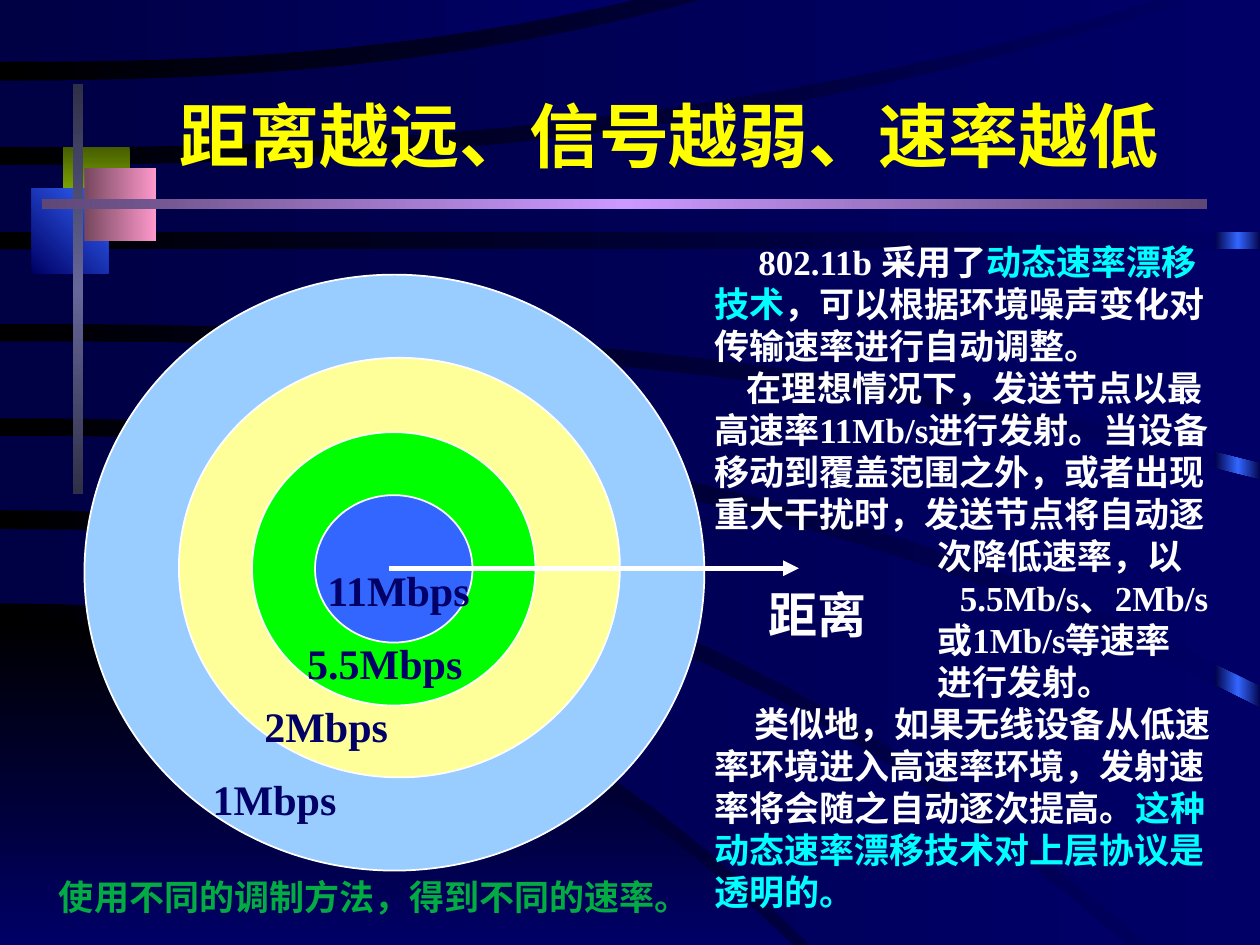
from copy import deepcopy

from lxml.etree import SubElement
from pptx import Presentation
from pptx.dml.color import RGBColor
from pptx.enum.shapes import MSO_CONNECTOR, MSO_SHAPE
from pptx.enum.text import MSO_ANCHOR, PP_ALIGN
from pptx.oxml.ns import qn
from pptx.util import Inches, Pt

BLACK = RGBColor(0x00, 0x00, 0x00)
NIGHT = RGBColor(0x00, 0x00, 0x44)
NAVY = RGBColor(0x00, 0x00, 0x66)
BLUE = RGBColor(0x33, 0x66, 0xFF)
SKY = RGBColor(0x99, 0xCC, 0xFF)
CREAM = RGBColor(0xFF, 0xFF, 0x99)
LIME = RGBColor(0x00, 0xFF, 0x00)
YELLOW = RGBColor(0xFF, 0xFF, 0x00)
CYAN = RGBColor(0x00, 0xFF, 0xFF)
GREEN = RGBColor(0x03, 0xAB, 0x43)
WHITE = RGBColor(0xFF, 0xFF, 0xFF)
DARK_OLIVE = RGBColor(0x47, 0x5E, 0x00)
OLIVE = RGBColor(0x99, 0xCC, 0x00)
DARK_PINK = RGBColor(0x76, 0x47, 0x5E)
PINK = RGBColor(0xFF, 0x99, 0xCC)
DARK_SLATE = RGBColor(0x2F, 0x2F, 0x47)
SLATE = RGBColor(0x66, 0x66, 0x99)
DARK_VIOLET = RGBColor(0x5E, 0x47, 0x76)
VIOLET = RGBColor(0xCC, 0x99, 0xFF)

CURVE_POWER = 2.4
CURVE_STEPS = 16

# Background waves, back to front: upper edge, lower edge, corners between them.
# An edge is its height at the left side, then the x and y where it ends.
WAVES = [
    ((4.2, 8.94, 7.5), (4.79, 6.43, 7.5), []),
    ((3.46, 10, 5.62), (4.05, 9.1, 7.5), [(10, 7.5)]),
    ((2.71, 10, 3.81), (3.32, 10, 5.44), []),
    ((1.98, 10, 1.98), (2.57, 10, 3.67), []),
    ((1.31, 9.44, 0), (1.84, 10, 1.84), [(10, 0)]),
    ((0.64, 5.57, 0), (1.17, 9.18, 0), []),
    ((0, 5.02, 0), (0.49, 5.02, 0), []),
]

# Title decoration: left, top, width, height, gradient, direction
DECORATION = [
    (0.5, 1.17, 0.53, 0.52, (DARK_OLIVE, OLIVE), 90),
    (0.25, 1.5, 0.61, 0.67, (NAVY, BLUE), 315),
    (0.67, 1.33, 0.57, 0.58, (DARK_PINK, PINK), 0),
    (0.58, 0.67, 0.08, 3.25, (DARK_SLATE, SLATE, DARK_SLATE), 90),
    (0.33, 1.58, 9.25, 0.08, (DARK_VIOLET, VIOLET, DARK_VIOLET), 0),
]

# Coverage rings: left, top, width, height, colour
RINGS = [
    (0.67, 2.18, 4.92, 4.73, SKY),
    (1.42, 2.84, 3.5, 3.33, CREAM),
    (2, 3.43, 2.25, 2.17, LIME),
    (2.5, 3.93, 1.25, 1.17, BLUE),
]
RATES = [
    ("11Mbps", 2.5, 4.43),
    ("5.5Mbps", 2.34, 5.01),
    ("2Mbps", 2, 5.51),
    ("1Mbps", 1.59, 6.09),
]

# Explanation: indent and coloured parts of each line
BESIDE_ARROW = 1.77
EXPLANATION = [
    (0.35, [("802.11b 采用了", WHITE), ("动态速率漂移", CYAN)]),
    (0, [("技术", CYAN), ("，可以根据环境噪声变化对", WHITE)]),
    (0, [("传输速率进行自动调整。", WHITE)]),
    (0.26, [("在理想情况下，发送节点以最", WHITE)]),
    (0, [("高速率11Mb/s进行发射。当设备", WHITE)]),
    (0, [("移动到覆盖范围之外，或者出现", WHITE)]),
    (0, [("重大干扰时，发送节点将自动逐", WHITE)]),
    (BESIDE_ARROW, [("次降低速率，以", WHITE)]),
    (1.95, [("5.5Mb/s、2Mb/s", WHITE)]),
    (BESIDE_ARROW, [("或1Mb/s等速率", WHITE)]),
    (BESIDE_ARROW, [("进行发射。", WHITE)]),
    (0.32, [("类似地，如果无线设备从低速", WHITE)]),
    (0, [("率环境进入高速率环境，发射速", WHITE)]),
    (0, [("率将会随之自动逐次提高。", WHITE), ("这种", CYAN)]),
    (0, [("动态速率漂移技术对上层协议是", CYAN)]),
    (0, [("透明的。", CYAN)]),
]


def curve(start_y, end_x, end_y):
    """Points of an edge that leaves the left side level and bends to its end."""
    steps = [i / CURVE_STEPS for i in range(CURVE_STEPS + 1)]
    return [(end_x * t, start_y + (end_y - start_y) * t ** CURVE_POWER) for t in steps]


class SlidePainter:
    font = "Times New Roman"

    def __init__(self, slide):
        self.slide = slide
        self.shapes = slide.shapes

    def gradient(self, fill, element, colors, angle):
        fill.gradient()
        fill.gradient_angle = (360 - angle) % 360
        stops = element.find(".//" + qn("a:gsLst"))
        for _ in colors[2:]:
            stops.append(deepcopy(stops[-1]))
        for i, (stop, color) in enumerate(zip(fill.gradient_stops, colors)):
            stop.position = i / (len(colors) - 1)
            stop.color.rgb = color

    def background(self, colors, angle):
        self.gradient(self.slide.background.fill, self.slide.element, colors, angle)

    def plain_gradient(self, shape, colors, angle):
        shape.shadow.inherit = False
        shape.line.fill.background()
        self.gradient(shape.fill, shape.element, colors, angle)

    def wave(self, upper, lower, corners, colors=(NIGHT, NAVY), angle=0):
        outline = curve(*upper) + corners + curve(*lower)[::-1]
        points = [(Inches(x), Inches(y)) for x, y in outline]
        builder = self.shapes.build_freeform(*points[0])
        builder.add_line_segments(points[1:], close=True)
        self.plain_gradient(builder.convert_to_shape(), colors, angle)

    def bar(self, left, top, width, height, colors, angle):
        box = map(Inches, (left, top, width, height))
        self.plain_gradient(self.shapes.add_shape(MSO_SHAPE.RECTANGLE, *box), colors, angle)

    def ring(self, left, top, width, height, color):
        ring = self.shapes.add_shape(MSO_SHAPE.OVAL, *map(Inches, (left, top, width, height)))
        ring.shadow.inherit = False
        ring.fill.solid()
        ring.fill.fore_color.rgb = color
        ring.line.color.rgb = WHITE
        ring.line.width = Pt(1)

    def arrow(self, x1, y1, x2, y2):
        arrow = self.shapes.add_connector(MSO_CONNECTOR.STRAIGHT, *map(Inches, (x1, y1, x2, y2)))
        arrow.line.color.rgb = WHITE
        arrow.line.width = Pt(3)
        SubElement(arrow.element.spPr.find(qn("a:ln")), qn("a:tailEnd"), type="triangle")
        SubElement(arrow.element.spPr, qn("a:effectLst"))

    def text(self, left, top, width, height, lines, size, align=PP_ALIGN.LEFT,
             anchor=MSO_ANCHOR.TOP):
        frame = self.shapes.add_textbox(*map(Inches, (left, top, width, height))).text_frame
        frame.word_wrap = True
        frame.vertical_anchor = anchor
        for i, (indent, parts) in enumerate(lines):
            paragraph = frame.add_paragraph() if i else frame.paragraphs[0]
            paragraph.alignment = align
            if indent:
                paragraph._p.get_or_add_pPr().set("marL", str(Inches(indent)))
            for words, color in parts:
                run = paragraph.add_run()
                run.text = words
                run.font.name = self.font
                run.font.size = Pt(size)
                run.font.bold = True
                run.font.color.rgb = color

    def label(self, left, top, width, height, words, size, color, **layout):
        self.text(left, top, width, height, [(0, [(words, color)])], size, **layout)


def main():
    deck = Presentation()
    deck.slide_width, deck.slide_height = Inches(10), Inches(7.5)
    painter = SlidePainter(deck.slides.add_slide(deck.slide_layouts[6]))

    # Background
    painter.background((BLACK, NAVY), 0)
    painter.bar(9.64, 0.02, 0.37, 7.5, (NIGHT, BLUE, NIGHT), 0)
    painter.wave((4.93, 6.29, 7.5), (7.5, 6.29, 7.5), [], (BLACK, NAVY), 90)
    for wave in WAVES:
        painter.wave(*wave)

    # Title
    for bar in DECORATION:
        painter.bar(*bar)
    painter.label(1.06, 0.44, 8.5, 1.25, "距离越远、信号越弱、速率越低", 40, YELLOW,
                  align=PP_ALIGN.CENTER, anchor=MSO_ANCHOR.MIDDLE)

    # Coverage rings with their rates
    for ring in RINGS:
        painter.ring(*ring)
    painter.arrow(3.09, 4.51, 6.34, 4.51)
    for rate, left, top in RATES:
        painter.label(left, top, 1.67, 0.5, rate, 24, NAVY)
    painter.label(6, 4.59, 1.1, 0.57, "距离", 28, WHITE)

    # Explanation and conclusion
    painter.text(5.57, 1.86, 4.4, 5.44, EXPLANATION, 20)
    painter.label(0.37, 6.9, 5.3, 0.44, "使用不同的调制方法，得到不同的速率。", 20, GREEN)

    deck.save("out.pptx")


if __name__ == "__main__":
    main()
